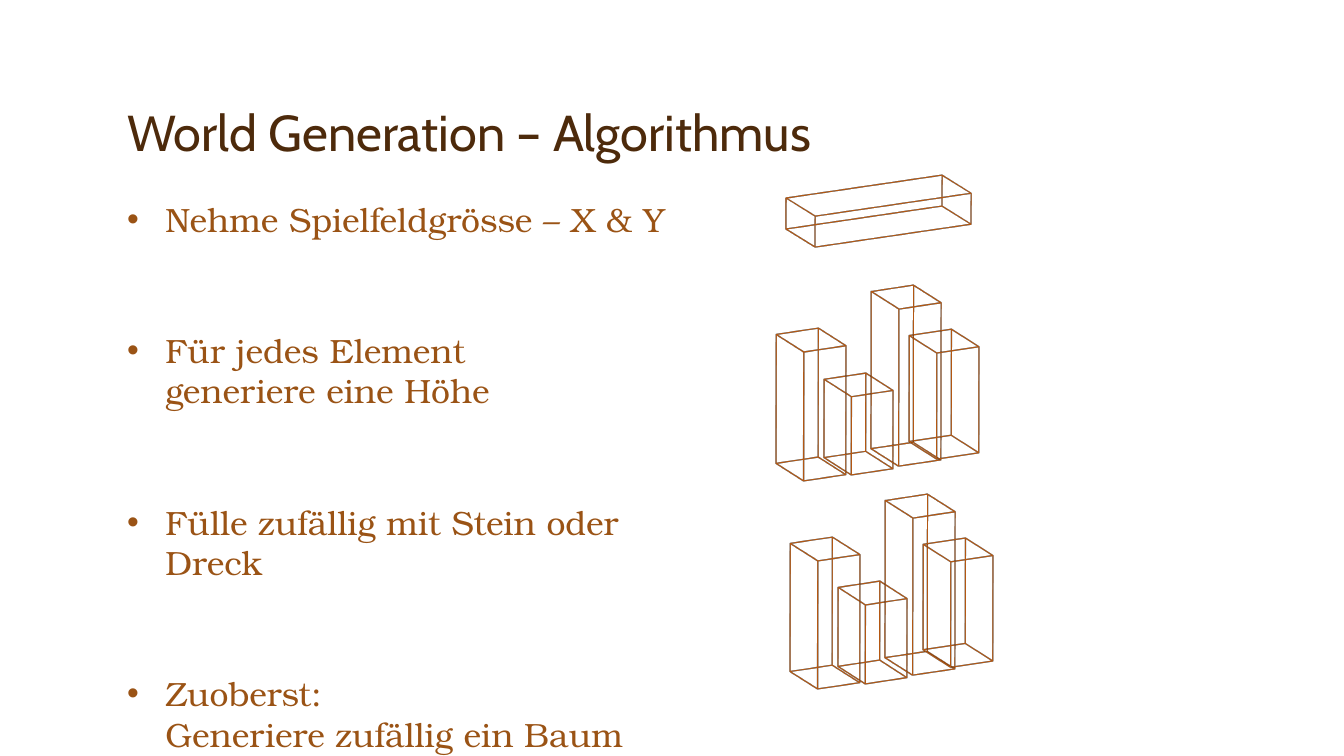
"""Build the slide on the world generation algorithm, with extruded wireframe blocks."""
from dataclasses import dataclass

from lxml import etree
from pptx import Presentation
from pptx import util as u
from pptx.dml.color import RGBColor
from pptx.enum import shapes, text
from pptx.oxml import ns


@dataclass(frozen=True)
class Theme:
    title_font: str = "Cabin"
    body_font: str = "TeX Gyre Bonum"
    title_size: int = 36
    body_size: int = 24
    title_color: str = "4D2A0B"
    body_color: str = "9A5315"
    block_color: str = "F3771A"
    grass_color: str = "92D050"
    line_color: str = "B45813"
    line_width: float = 1


THEME = Theme()


@dataclass(frozen=True)
class Block:
    left: float
    top: float
    depth: float
    width: float = 0.47
    height: float = 0.63


STEPS = [
    "Nehme Spielfeldgrösse – X & Y",
    "Für jedes Element\vgeneriere eine Höhe",
    "Fülle zufällig mit Stein oder Dreck",
    "Zuoberst:\vGeneriere zufällig ein Baum",
]
FIELD = Block(7.85, 1.73, 0.33, 1.73, 0.66)
COLUMNS = [
    Block(7.81, 3.18, 1.35),
    Block(8.28, 3.62, 0.83),
    Block(8.75, 2.75, 1.65),
    Block(9.13, 3.19, 1.11),
]
FILLED_OFFSET = (0.14, 2.07)
FILLED_COLORS = [THEME.block_color, THEME.grass_color, THEME.block_color, THEME.block_color]
LIFT = 0.13


def place(shape, left: float, top: float, width: float, height: float) -> None:
    shape.left, shape.top = u.Inches(left), u.Inches(top)
    shape.width, shape.height = u.Inches(width), u.Inches(height)


def style_font(font, name: str, size: float, color: str) -> None:
    font.name = name
    font.size = u.Pt(size)
    font.color.rgb = RGBColor.from_string(color)


def fill_title(title) -> None:
    place(title, 1.16, 0.33, 11, 1.33)
    frame = title.text_frame
    frame.text = "World Generation – Algorithmus"
    frame.vertical_anchor = text.MSO_ANCHOR.BOTTOM
    frame.auto_size = text.MSO_AUTO_SIZE.NONE
    paragraph = frame.paragraphs[0]
    paragraph.alignment = text.PP_ALIGN.LEFT
    paragraph.line_spacing = 0.9
    style_font(paragraph.font, THEME.title_font, THEME.title_size, THEME.title_color)


def fill_steps(body) -> None:
    place(body, 1.16, 1.92, 5.95, 5.45)
    frame = body.text_frame
    frame.vertical_anchor = text.MSO_ANCHOR.TOP
    frame.auto_size = text.MSO_AUTO_SIZE.NONE
    for index, step in enumerate(STEPS):
        paragraph = frame.add_paragraph() if index else frame.paragraphs[0]
        paragraph.text = step
        properties = paragraph._p.get_or_add_pPr()
        properties.set("marL", str(u.Inches(0.38)))
        properties.set("indent", str(u.Inches(-0.38)))
        etree.SubElement(properties, ns.qn("a:buChar")).set("char", "•")
        paragraph.space_before = u.Pt(65 if index else 0)
        style_font(paragraph.font, THEME.body_font, THEME.body_size, THEME.body_color)


def extrude(shape, depth: float) -> None:
    properties = shape._element.spPr
    scene = etree.SubElement(properties, ns.qn("a:scene3d"))
    etree.SubElement(scene, ns.qn("a:camera"), prst="isometricOffAxis1Top")
    etree.SubElement(scene, ns.qn("a:lightRig"), rig="threePt", dir="t")
    etree.SubElement(
        properties,
        ns.qn("a:sp3d"),
        z=str(u.Inches(LIFT)),
        extrusionH=str(u.Inches(depth)),
        prstMaterial="legacyWireframe",
    )


def draw_block(
    container, block: Block, color: str, offset: tuple[float, float] = (0, 0)
) -> None:
    shape = container.add_shape(
        shapes.MSO_SHAPE.RECTANGLE,
        u.Inches(block.left + offset[0]),
        u.Inches(block.top + offset[1]),
        u.Inches(block.width),
        u.Inches(block.height),
    )
    shape.fill.solid()
    shape.fill.fore_color.rgb = RGBColor.from_string(color)
    shape.line.color.rgb = RGBColor.from_string(THEME.line_color)
    shape.line.width = u.Pt(THEME.line_width)
    shape.shadow.inherit = False
    extrude(shape, block.depth)


def main() -> None:
    presentation = Presentation()
    presentation.slide_width = u.Inches(13.33)
    presentation.slide_height = u.Inches(7.5)
    slide = presentation.slides.add_slide(presentation.slide_layouts[1])
    fill_title(slide.shapes.title)
    fill_steps(slide.placeholders[1])
    draw_block(slide.shapes, FIELD, THEME.block_color)
    heights = slide.shapes.add_group_shape()
    for column in COLUMNS:
        draw_block(heights.shapes, column, THEME.block_color)
    for column, color in zip(COLUMNS, FILLED_COLORS):
        draw_block(slide.shapes, column, color, FILLED_OFFSET)
    presentation.save("out.pptx")


if __name__ == "__main__":
    main()
